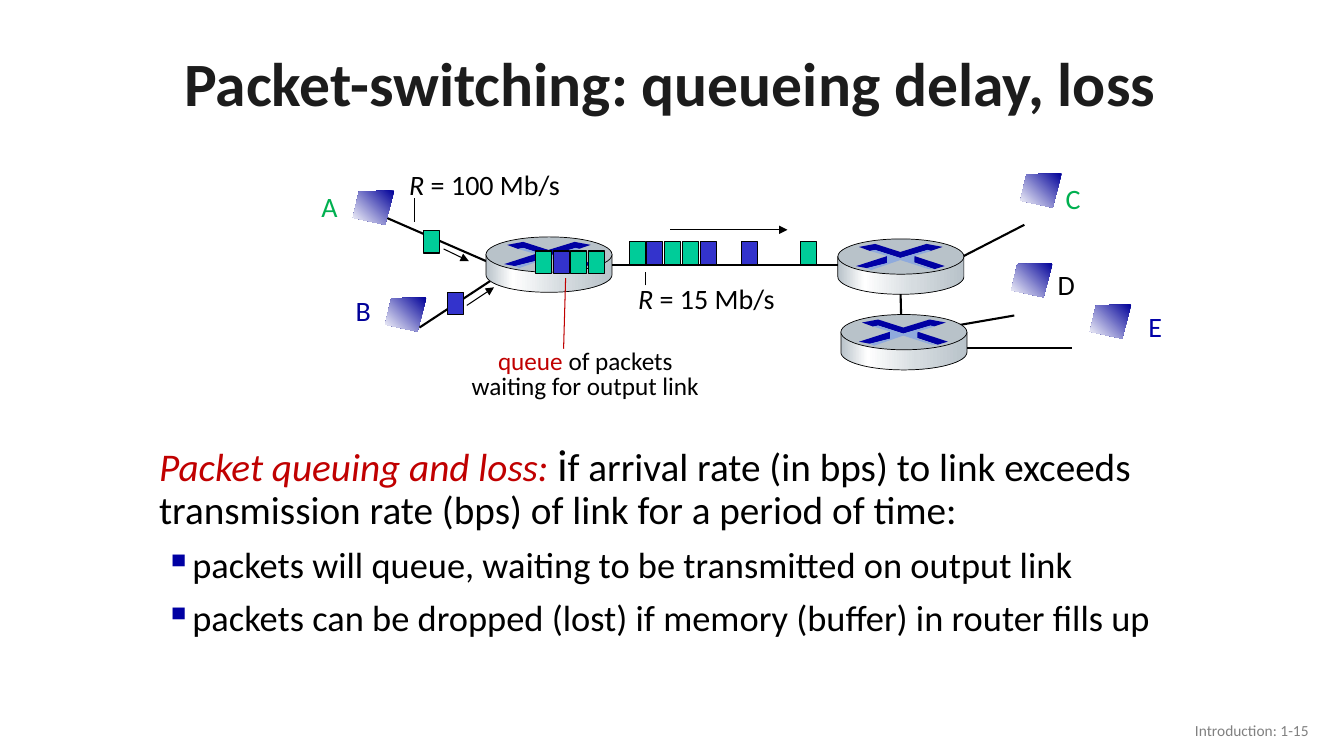
"""Build a slide on queueing delay and loss in packet switching."""
from math import cos, pi, sin

from lxml.etree import SubElement
from pptx import Presentation
from pptx.dml.color import RGBColor
from pptx.enum.shapes import MSO_CONNECTOR as LINE, MSO_SHAPE as SHAPE
from pptx.enum.text import MSO_ANCHOR as ANCHOR, PP_ALIGN as ALIGN
from pptx.oxml.ns import qn
from pptx.util import Inches, Pt

BLACK = RGBColor(0, 0, 0)
CHARCOAL = RGBColor(0x1C, 0x1C, 0x1C)
GRAY = RGBColor(0x80, 0x80, 0x80)
WHITE = RGBColor(0xFF, 0xFF, 0xFF)
RED = RGBColor(0xC0, 0, 0)
GREEN = RGBColor(0, 0xB0, 0x50)
NAVY = RGBColor(0, 0, 0x99)
ROUTER_BLUE = RGBColor(0, 0, 0xA3)
LABEL_BLUE = RGBColor(0, 0, 0xA8)
PALE_BLUE = RGBColor(0x8F, 0xAA, 0xDC)
STEEL = RGBColor(0xB8, 0xC2, 0xC9)
LIGHT_STEEL = RGBColor(0xD6, 0xDC, 0xE0)
PACKET_GREEN = RGBColor(0, 0xCC, 0x99)
PACKET_BLUE = RGBColor(0x33, 0x33, 0xCC)

TITLE = [("Packet-switching: queueing delay, loss", {"color": CHARCOAL, "bold": True})]
INTRO = [
    ("Packet queuing and loss: ", {"color": RED, "italic": True}),
    ("i", {"size": 32}),
    ("f arrival rate (in bps) to link exceeds transmission rate (bps) of link for a period of time:", {}),
]
BULLETS = [
    "packets will queue, waiting to be transmitted on output link",
    "packets can be dropped (lost) if memory (buffer) in router fills up",
]
FOOTER = [("Introduction: 1-15", {"color": GRAY})]
CALLOUT = [
    [("queue", {"color": RED}), (" of packets", {})],
    [("waiting for output link", {})],
]
HOST_LABELS = [
    ("A", 3.09, 1.83, GREEN), ("B", 3.43, 2.86, NAVY), ("C", 10.47, 1.75, GREEN),
    ("D", 10.39, 2.6, BLACK), ("E", 11.29, 3.02, LABEL_BLUE),
]
RATES = [(" = 100 Mb/s", 3.96, 1.61, 1.71), (" = 15 Mb/s", 6.23, 2.74, 1.57)]

HOSTS = [(10.03, 2.61), (3.5, 1.89), (3.82, 2.95), (10.81, 3.02), (10.12, 1.72)]
HOST_OUTLINE = [(0.41, 0), (0.06, 0.01), (0, 0.27), (0.32, 0.34)]
HOST_STOPS = [(0, NAVY), (100, WHITE)]

ROUTERS = [(8.31, 2.37), (8.34, 3.12), (4.82, 2.35)]
ROUTER_WIDTH, ROUTER_TOP, ROUTER_SIDE = 1.25, 0.35, 0.2
ROUTER_STOPS = [(0, STEEL), (21, WHITE), (60, LIGHT_STEEL), (100, STEEL)]
CROSS_PARTS = [
    (ROUTER_BLUE, [(0.88, 0.05), (1.04, 0.08), (0.92, 0.12), (0.89, 0.11), (0.62, 0.19), (0.37, 0.11),
                   (0.32, 0.12), (0.21, 0.08), (0.37, 0.05), (0.62, 0.13)]),
    (ROUTER_BLUE, [(0.76, 0.17), (1.06, 0.27), (0.96, 0.3), (0.75, 0.23)]),
    (LABEL_BLUE, [(0.49, 0.17), (0.49, 0.24), (0.29, 0.29), (0.18, 0.27)]),
    (PALE_BLUE, [(0.32, 0.12), (0.37, 0.11), (0.62, 0.19), (0.89, 0.11), (0.93, 0.12), (0.76, 0.17),
                 (0.76, 0.24), (0.95, 0.3), (0.9, 0.3), (0.62, 0.21), (0.33, 0.31), (0.29, 0.29),
                 (0.49, 0.24), (0.49, 0.17)]),
]

LINKS = [
    (3.74, 2.12, 4.82, 2.59), (4.16, 3.25, 4.95, 2.73), (6.02, 2.63, 8.52, 2.63),
    (8.94, 3.23, 8.93, 2.83), (9.5, 2.57, 10.16, 2.23), (9.55, 3.45, 10.63, 3.45),
    (10.06, 3.13, 9.02, 3.31),
]
ARROWS = [(6.65, 2.28, 7.81, 2.28), (4.4, 2.47, 4.65, 2.59), (4.63, 3.03, 4.9, 2.85)]
POINTERS = [
    (5.59, 3.46, 5.61, 2.76, RED), (4.11, 2.2, 4.11, 1.96, BLACK), (6.4, 2.83, 6.4, 2.7, BLACK),
]
PACKET_WIDTH, PACKET_HEIGHT, PACKET_STEP = 0.16, 0.22, 0.176
PACKET_TRAINS = [
    (6.24, 2.4, "GBGGB"), (7.35, 2.4, "B"), (7.94, 2.4, "G"), (4.44, 2.9, "B"),
    (4.2, 2.29, "G"), (5.31, 2.49, "GBGG"),
]
PACKET_COLORS = {"G": PACKET_GREEN, "B": PACKET_BLUE}


def add_box(page, left, top, width, height, anchor=ANCHOR.TOP, wrap=True):
    frame = page.shapes.add_textbox(Inches(left), Inches(top), Inches(width), Inches(height)).text_frame
    frame.word_wrap = wrap
    frame.vertical_anchor = anchor
    return frame


def write(para, runs, size, align=ALIGN.LEFT, spacing=1.0):
    para.alignment = align
    para.line_spacing = spacing
    para.font.name = "Calibri"
    para.font.size = Pt(size)
    for text, style in runs:
        span = para.add_run()
        span.text = text
        span.font.color.rgb = style.get("color", BLACK)
        if "size" in style:
            span.font.size = Pt(style["size"])
        for flag in ("bold", "italic"):
            if flag in style:
                setattr(span.font, flag, style[flag])


def add_bullet(para):
    properties = para._p.get_or_add_pPr()
    properties.set("marL", str(Inches(0.31)))
    properties.set("indent", str(Inches(-0.25)))
    color = SubElement(properties, qn("a:buClr"))
    SubElement(color, qn("a:srgbClr"), val=str(ROUTER_BLUE))
    SubElement(properties, qn("a:buChar"), char="▪")


def add_line(page, ends, width, color=BLACK, arrow=False):
    line = page.shapes.add_connector(LINE.STRAIGHT, *[Inches(value) for value in ends])
    line.line.color.rgb = color
    line.line.width = Pt(width)
    if arrow:
        SubElement(line.line._get_or_add_ln(), qn("a:tailEnd"), type="triangle")
    SubElement(line._element.spPr, qn("a:effectLst"))


def paint(shape, color=None, stops=(), angle=0, outline=0):
    shape.shadow.inherit = False
    if stops:
        shape.fill.gradient()
        shape.fill.gradient_angle = angle
        stop_list = shape._element.spPr.find(qn("a:gradFill")).find(qn("a:gsLst"))
        stop_list.clear()
        for percent, stop_color in stops:
            stop = SubElement(stop_list, qn("a:gs"), pos=str(percent * 1000))
            SubElement(stop, qn("a:srgbClr"), val=str(stop_color))
    else:
        shape.fill.solid()
        shape.fill.fore_color.rgb = color
    if outline:
        shape.line.color.rgb = BLACK
        shape.line.width = Pt(outline)
    else:
        shape.line.fill.background()


def add_outline(page, left, top, points):
    corners = [(Inches(left + x), Inches(top + y)) for x, y in points]
    builder = page.shapes.build_freeform(*corners[0], scale=1.0)
    builder.add_line_segments(corners[1:], close=True)
    return builder.convert_to_shape()


def add_preset(page, kind, left, top, width, height):
    return page.shapes.add_shape(kind, Inches(left), Inches(top), Inches(width), Inches(height))


def add_router(page, left, top):
    radius, middle = ROUTER_WIDTH / 2, ROUTER_TOP / 2
    rim = [(radius + radius * cos(step * pi / 32), middle + ROUTER_SIDE + middle * sin(step * pi / 32))
           for step in range(33)]
    side = [(ROUTER_WIDTH, middle)] + rim + [(0, middle)]
    paint(add_outline(page, left, top, side), stops=ROUTER_STOPS, outline=0.5)
    paint(add_preset(page, SHAPE.OVAL, left, top, ROUTER_WIDTH, ROUTER_TOP), STEEL, outline=0.5)
    for color, points in CROSS_PARTS:
        paint(add_outline(page, left, top, points), color)


def main():
    deck = Presentation()
    deck.slide_width, deck.slide_height = Inches(13.33), Inches(7.5)
    page = deck.slides.add_slide(deck.slide_layouts[6])

    write(add_box(page, 0.9, 0.37, 11.5, 0.98, ANCHOR.MIDDLE).paragraphs[0], TITLE, 44, ALIGN.CENTER, 0.9)
    body = add_box(page, 1.48, 4.34, 10.57, 3.03)
    write(body.paragraphs[0], INTRO, 28, spacing=0.9)
    for text in BULLETS:
        para = body.add_paragraph()
        add_bullet(para)
        para.space_before = Pt(10)
        write(para, [(text, {})], 26, spacing=0.9)
    write(add_box(page, 10.08, 7.05, 3, 0.4, ANCHOR.MIDDLE).paragraphs[0], FOOTER, 11, ALIGN.RIGHT)

    for ends in LINKS:
        add_line(page, ends, 1.5)
    for left, top in HOSTS:
        paint(add_outline(page, left, top, HOST_OUTLINE), stops=HOST_STOPS, angle=225)
    for left, top in ROUTERS:
        add_router(page, left, top)
    for left, top, train in PACKET_TRAINS:
        for index, kind in enumerate(train):
            packet = add_preset(page, SHAPE.RECTANGLE, left + index * PACKET_STEP, top,
                                PACKET_WIDTH, PACKET_HEIGHT)
            paint(packet, PACKET_COLORS[kind], outline=0.75)
    for ends in ARROWS:
        add_line(page, ends, 0.75, arrow=True)
    for *ends, color in POINTERS:
        add_line(page, ends, 0.75, color)

    for text, left, top, color in HOST_LABELS:
        write(add_box(page, left, top, 0.35, 0.44, wrap=False).paragraphs[0], [(text, {"color": color})], 20)
    for rate, left, top, width in RATES:
        runs = [("R", {"italic": True}), (rate, {})]
        write(add_box(page, left, top, width, 0.44, wrap=False).paragraphs[0], runs, 20)
    callout = add_box(page, 4.52, 3.42, 2.57, 0.62)
    callout.add_paragraph()
    for para, runs in zip(callout.paragraphs, CALLOUT):
        write(para, runs, 18, ALIGN.CENTER, 0.85)

    deck.save("out.pptx")


if __name__ == "__main__":
    main()
